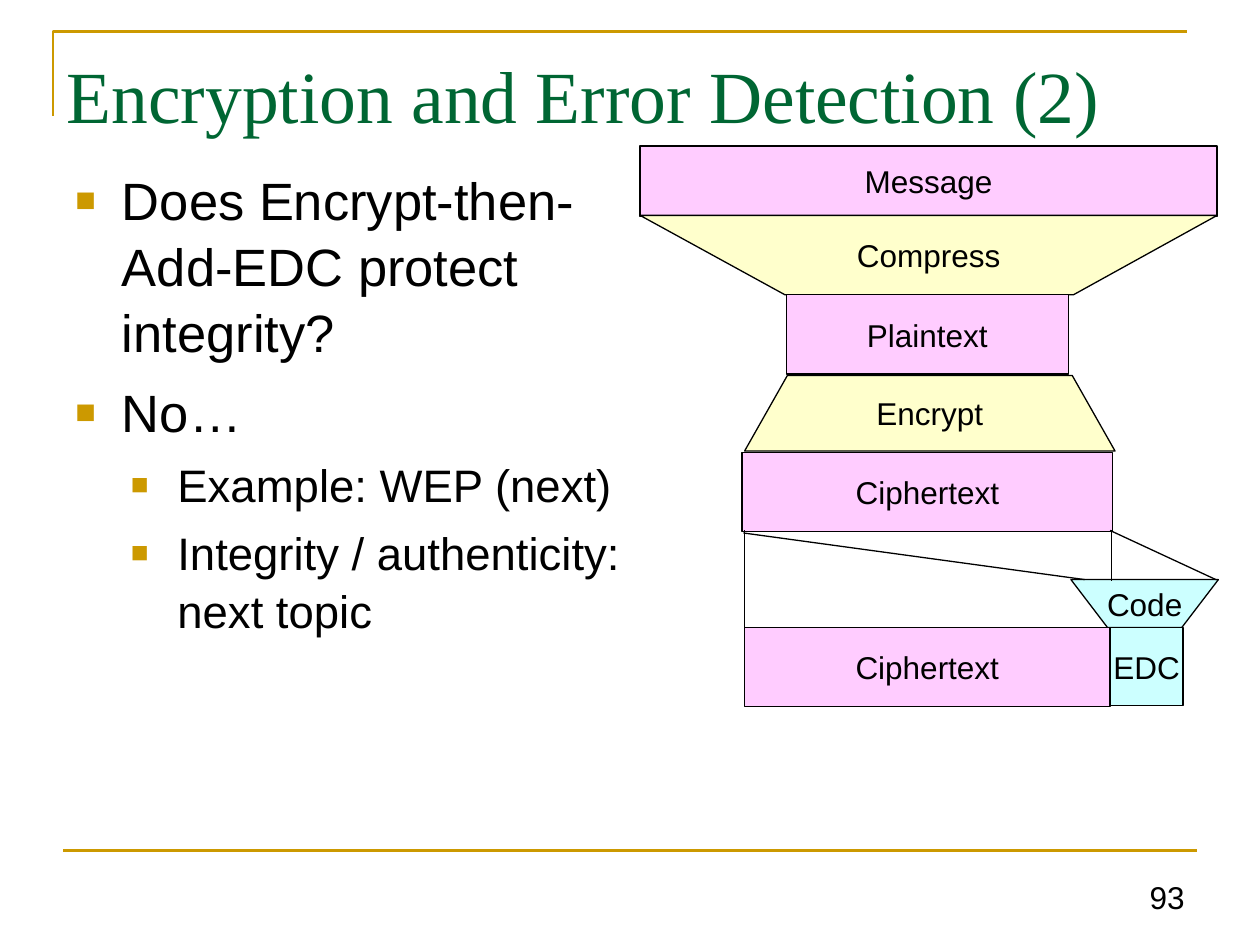
"""Build the slide on encryption followed by error detection coding."""
import pptx
import pptx.dml.color
import pptx.enum.shapes
import pptx.enum.text
import pptx.oxml
import pptx.oxml.ns
import pptx.util
from lxml import etree

Inches = pptx.util.Inches
Align = pptx.enum.text.PP_ALIGN
Anchor = pptx.enum.text.MSO_ANCHOR

THEME = {
    "gold": "CC9900", "green": "006633", "black": "000000",
    "data": "FFCCFF", "process": "FFFFCC", "code": "CCFFFF",
    "body_font": "Arial", "title_font": "Times New Roman",
    "title_size": 42, "label_size": 18, "bullet_sizes": (30, 26),
    "bullet_gaps": (7.5, 6.5), "bullet_indents": (0.37, 0.81),
    "bullet_hang": 0.37, "bullet_spacing": 1.05,
    "rule_width": 1.5, "outline_width": 0.75,
}

TITLE = "Encryption and Error Detection (2)"
PAGE_NUMBER = "93"
BULLETS = [
    (0, "Does Encrypt-then-Add-EDC protect integrity?"),
    (0, "No…"),
    (1, "Example: WEP (next)"),
    (1, "Integrity / authenticity: next topic"),
]
# label, role, top, bottom, (left, right) at top, (left, right) at bottom
STAGES = [
    ("Message", "data", 1.16, 1.72, (5.08, 9.66), (5.08, 9.66)),
    ("Compress", "process", 1.71, 2.34, (5.08, 9.66), (6.23, 8.52)),
    ("Plaintext", "data", 2.34, 2.97, (6.24, 8.48), (6.24, 8.48)),
    ("Encrypt", "process", 2.98, 3.58, (6.25, 8.51), (5.91, 8.85)),
    ("Ciphertext", "data", 3.59, 4.22, (5.89, 8.83), (5.89, 8.83)),
    ("Code", "code", 4.6, 4.98, (8.5, 9.67), (8.79, 9.38)),
    ("Ciphertext", "data", 4.98, 5.61, (5.91, 8.81), (5.91, 8.81)),
    ("EDC", "code", 4.98, 5.6, (8.81, 9.39), (8.81, 9.39)),
]
GUIDES = [
    ((5.9, 4.23), (8.61, 4.6)),
    ((8.81, 4.21), (9.65, 4.6)),
    ((8.82, 4.21), (8.82, 4.61)),
    ((5.91, 4.21), (5.91, 4.98)),
]
FRAME = [(0.42, 0.92), (0.42, 0.25), (9.42, 0.25)]
FOOTER_RULE = ((0.5, 6.75), (9.5, 6.75))


def rgb(name):
    return pptx.dml.color.RGBColor.from_string(THEME[name])


def set_line(shape, colour, width):
    shape.line.color.rgb = rgb(colour)
    shape.line.width = pptx.util.Pt(THEME[width])


def style(paragraph, size, colour="black", font="body_font", align=Align.LEFT):
    paragraph.alignment = align
    for run in paragraph.runs:
        run.font.size = pptx.util.Pt(size)
        run.font.name = THEME[font]
        run.font.color.rgb = rgb(colour)


def add_line(slide, ends, colour, width):
    (x1, y1), (x2, y2) = ends
    line = slide.shapes.add_connector(
        pptx.enum.shapes.MSO_CONNECTOR.STRAIGHT,
        Inches(x1), Inches(y1), Inches(x2), Inches(y2))
    set_line(line, colour, width)
    etree.SubElement(line._element.spPr, pptx.oxml.ns.qn("a:effectLst"))


def add_outline(slide, points, close):
    corners = [(Inches(x), Inches(y)) for x, y in points]
    builder = slide.shapes.build_freeform(*corners[0])
    builder.add_line_segments(corners[1:], close=close)
    shape = builder.convert_to_shape()
    shape.shadow.inherit = False
    return shape


def add_stage(slide, label, role, top, bottom, upper, lower):
    if upper == lower:
        left, right = upper
        shape = slide.shapes.add_shape(
            pptx.enum.shapes.MSO_SHAPE.RECTANGLE, Inches(left), Inches(top),
            Inches(right - left), Inches(bottom - top))
        shape.shadow.inherit = False
    else:
        shape = add_outline(slide, [(upper[0], top), (upper[1], top),
                                    (lower[1], bottom), (lower[0], bottom)], True)
    shape.fill.solid()
    shape.fill.fore_color.rgb = rgb(role)
    set_line(shape, "black", "outline_width")
    frame = shape.text_frame
    frame.text = label
    frame.word_wrap = False
    frame.vertical_anchor = Anchor.MIDDLE
    style(frame.paragraphs[0], THEME["label_size"], align=Align.CENTER)


def add_text(slide, left, top, width, height):
    frame = slide.shapes.add_textbox(
        Inches(left), Inches(top), Inches(width), Inches(height)).text_frame
    frame.word_wrap = True
    return frame


def set_bullet(paragraph, level):
    paragraph.level = level
    paragraph.space_before = pptx.util.Pt(THEME["bullet_gaps"][level])
    paragraph.line_spacing = THEME["bullet_spacing"]
    properties = paragraph._p.get_or_add_pPr()
    properties.set("marL", str(Inches(THEME["bullet_indents"][level])))
    properties.set("indent", str(-Inches(THEME["bullet_hang"])))
    colour = etree.SubElement(properties, pptx.oxml.ns.qn("a:buClr"))
    etree.SubElement(colour, pptx.oxml.ns.qn("a:srgbClr"), val=THEME["gold"])
    for tag, attributes in (("a:buSzPct", {"val": "65000"}),
                            ("a:buFont", {"typeface": THEME["body_font"]}),
                            ("a:buChar", {"char": "■"})):
        etree.SubElement(properties, pptx.oxml.ns.qn(tag), attributes)


def add_title(slide):
    title = slide.shapes.title
    title.left, title.top = Inches(0.43), Inches(0.3)
    title.width, title.height = Inches(9.07), Inches(0.85)
    frame = title.text_frame
    frame.text = TITLE
    frame.vertical_anchor = Anchor.BOTTOM
    frame.auto_size = pptx.enum.text.MSO_AUTO_SIZE.NONE
    style(frame.paragraphs[0], THEME["title_size"], "green", "title_font")


def add_bullets(slide):
    frame = add_text(slide, 0.5, 1.26, 4.97, 5.45)
    for index, (level, text) in enumerate(BULLETS):
        paragraph = frame.add_paragraph() if index else frame.paragraphs[0]
        paragraph.text = text
        style(paragraph, THEME["bullet_sizes"][level])
        set_bullet(paragraph, level)


def add_page_number(slide):
    frame = add_text(slide, 7.17, 6.83, 2.33, 0.49)
    frame.text = PAGE_NUMBER
    frame.vertical_anchor = Anchor.BOTTOM
    style(frame.paragraphs[0], THEME["label_size"], align=Align.RIGHT)


def main():
    deck = pptx.Presentation()
    deck.slide_width, deck.slide_height = Inches(10), Inches(7.5)
    slide = deck.slides.add_slide(deck.slide_layouts.get_by_name("Title Only"))
    corner = add_outline(slide, FRAME, False)
    corner.fill.background()
    set_line(corner, "gold", "rule_width")
    add_line(slide, FOOTER_RULE, "gold", "rule_width")
    add_page_number(slide)
    add_title(slide)
    add_bullets(slide)
    for stage in STAGES:
        add_stage(slide, *stage)
    for ends in GUIDES:
        add_line(slide, ends, "black", "outline_width")
    deck.save("out.pptx")


if __name__ == "__main__":
    main()
